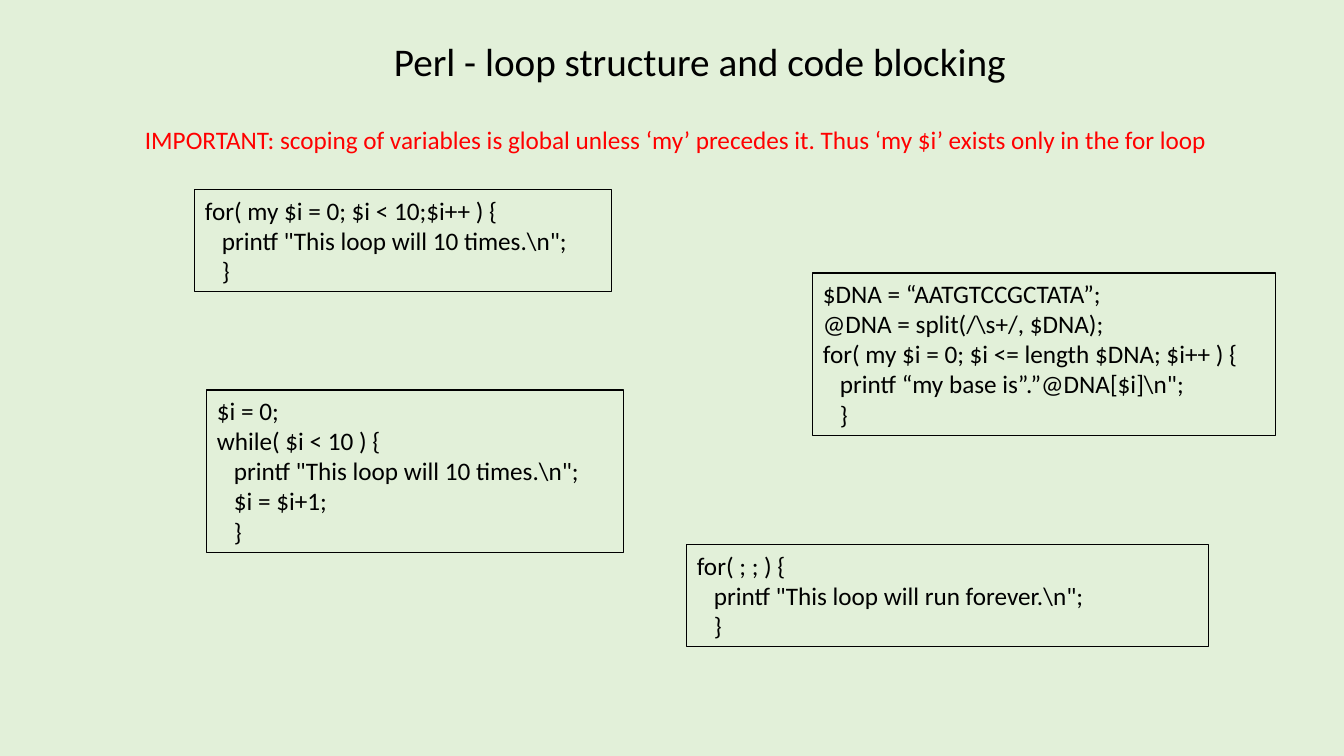
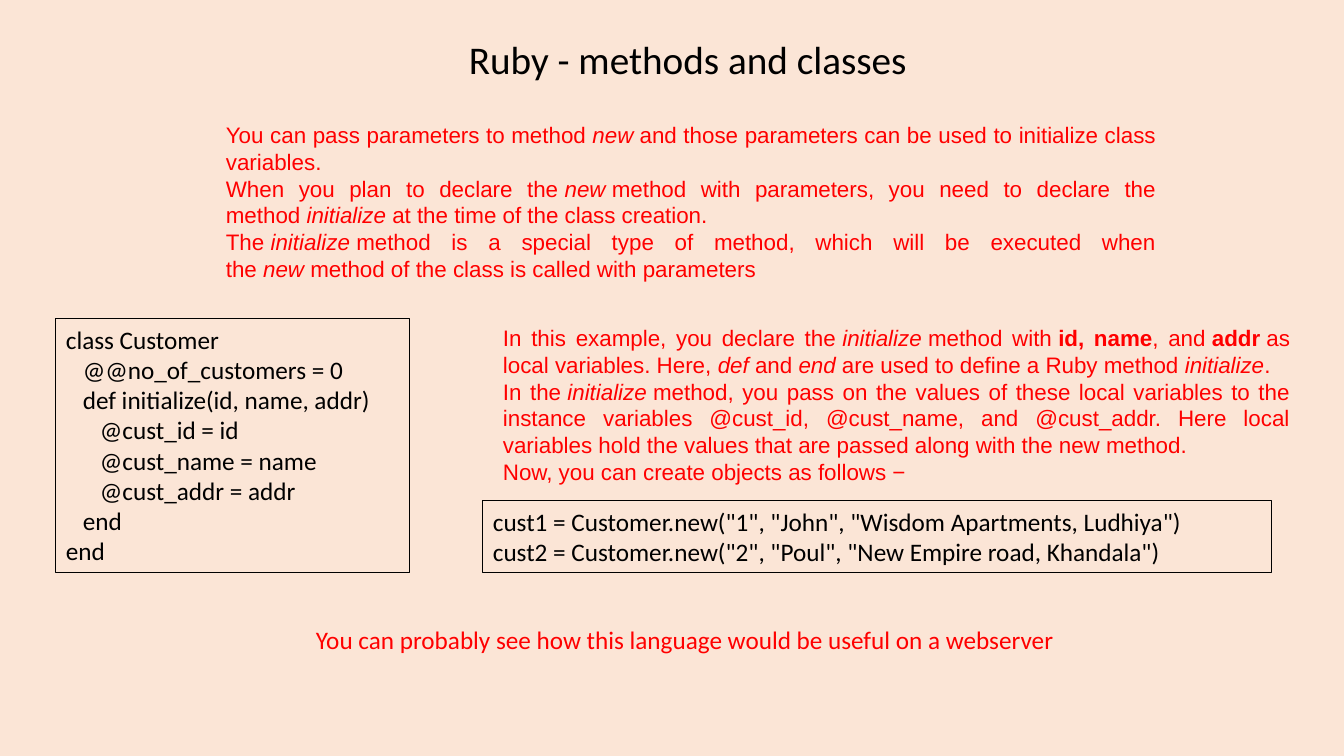
import pptx
import pptx.dml.color
import pptx.enum.text
import pptx.util

PX = 914400 / 100.8
BLACK, RED = "000000", "FF0000"
CODE_INDENT = 17
NO_BREAK_SPACE = chr(160)  # typed as ~ in the prose below


def rgb(hex_string):
    return pptx.dml.color.RGBColor.from_string(hex_string)


def add_text(slide, box, paragraphs, size=18, font="Calibri", color=BLACK,
             wrap=True, justify=False, outline=False):
    """Each paragraph is (indent level, [(text, style), ...]); style is "", "i" or "b"."""
    shape = slide.shapes.add_textbox(*(pptx.util.Emu(round(length * PX)) for length in box))
    if outline:
        shape.line.color.rgb = rgb(BLACK)
        shape.line.width = pptx.util.Pt(0.75)
    frame = shape.text_frame
    frame.word_wrap = wrap
    frame.auto_size = pptx.enum.text.MSO_AUTO_SIZE.SHAPE_TO_FIT_TEXT
    for index, (level, runs) in enumerate(paragraphs):
        paragraph = frame.add_paragraph() if index else frame.paragraphs[0]
        if justify:
            paragraph.alignment = pptx.enum.text.PP_ALIGN.JUSTIFY
        if level:
            paragraph._p.get_or_add_pPr().set("marL", str(round(level * CODE_INDENT * PX)))
        for text, style in runs:
            run = paragraph.add_run()
            run.text = text
            run.font.name = font
            run.font.size = pptx.util.Pt(size)
            run.font.color.rgb = rgb(color)
            run.font.italic = style == "i"
            run.font.bold = style == "b"


slides = [
    {
        "background": "E2F0D9",
        "title": ((384, 32, 639, 57), "Perl - loop structure and code blocking"),
        "note": ((135, 119, 1106, 40),
                 "IMPORTANT: scoping of variables is global unless ‘my’ precedes it. "
                 "Thus ‘my $i’ exists only in the for loop"),
        "prose": [],
        "code": [
            ((195, 190, 417, 102), [
                (0, "for( my $i = 0; $i < 10;$i++ ) {"),
                (1, 'printf "This loop will 10 times.\\n";'),
                (1, "}"),
            ]),
            ((207, 390, 417, 163), [
                (0, "$i = 0;"),
                (0, "while( $i < 10 ) {"),
                (1, 'printf "This loop will 10 times.\\n";'),
                (1, "$i = $i+1;"),
                (1, "}"),
            ]),
            ((813, 273, 463, 163), [
                (0, "$DNA = “AATGTCCGCTATA”;"),
                (0, "@DNA = split(/\\s+/, $DNA);"),
                (0, "for( my $i = 0; $i <= length $DNA; $i++ ) {"),
                (1, 'printf “my base is”.”@DNA[$i]\\n";'),
                (1, "}"),
            ]),
            ((687, 545, 522, 102), [
                (0, "for( ; ; ) {"),
                (1, 'printf "This loop will run forever.\\n";'),
                (1, "}"),
            ]),
        ],
    },
    {
        "background": "FBE5D6",
        "title": ((459, 30, 464, 57), "Ruby - methods and classes"),
        "note": ((306, 619, 768, 40),
                 "You can probably see how this language would be useful on a webserver"),
        "prose": [
            ((216, 116, 950, 173), [
                [("You can pass parameters to method~", ""), ("new", "i"),
                 ("~and those parameters can be used to initialize class variables.", "")],
                [("When you plan to declare the~", ""), ("new", "i"),
                 ("~method with parameters, you need to declare the method~", ""),
                 ("initialize", "i"), ("~at the time of the class creation.", "")],
                [("The~", ""), ("initialize", "i"),
                 ("~method is a special type of method, which will be executed when the~", ""),
                 ("new", "i"), ("~method of the class is called with parameters", "")],
            ]),
            ((493, 319, 807, 173), [
                [("In this example, you declare the~", ""), ("initialize", "i"),
                 ("~method with~", ""), ("id, name", "b"), (", and~", ""), ("addr", "b"),
                 ("~as local variables. Here,~", ""), ("def", "i"), ("~and~", ""), ("end", "i"),
                 ("~are used to define a Ruby method~", ""), ("initialize", "i"), (".", "")],
                [("In the~", ""), ("initialize", "i"),
                 ("~method, you pass on the values of these local variables to the instance "
                  "variables @cust_id, @cust_name, and @cust_addr. Here local variables hold "
                  "the values that are passed along with the new method.", "")],
                [("Now, you can create objects as follows −", "")],
            ]),
        ],
        "code": [
            ((56, 319, 354, 254), [
                (0, "class Customer"),
                (1, "@@no_of_customers = 0"),
                (1, "def initialize(id, name, addr)"),
                (2, "@cust_id = id"),
                (2, "@cust_name = name"),
                (2, "@cust_addr = addr"),
                (1, "end"),
                (0, "end"),
            ]),
            ((483, 501, 789, 72), [
                (0, 'cust1 = Customer.new("1", "John", "Wisdom Apartments, Ludhiya")'),
                (0, 'cust2 = Customer.new("2", "Poul", "New Empire road, Khandala")'),
            ]),
        ],
    },
]

presentation = pptx.Presentation()
presentation.slide_width = pptx.util.Emu(round(1344 * PX))
presentation.slide_height = pptx.util.Emu(round(756 * PX))

for content in slides:
    slide = presentation.slides.add_slide(presentation.slide_layouts[6])
    slide.background.fill.solid()
    slide.background.fill.fore_color.rgb = rgb(content["background"])

    box, title = content["title"]
    add_text(slide, box, [(0, [(title, "")])], size=28, wrap=False)

    for box, paragraphs in content["prose"]:
        prose = [(0, [(text.replace("~", NO_BREAK_SPACE), style) for text, style in runs])
                 for runs in paragraphs]
        add_text(slide, box, prose, size=16, font="Arial", color=RED, justify=True)

    for box, lines in content["code"]:
        code = [(level, [(line, "")]) for level, line in lines]
        add_text(slide, box, code, outline=True)

    box, note = content["note"]
    add_text(slide, box, [(0, [(note, "")])], color=RED, wrap=False)

presentation.save("out.pptx")
